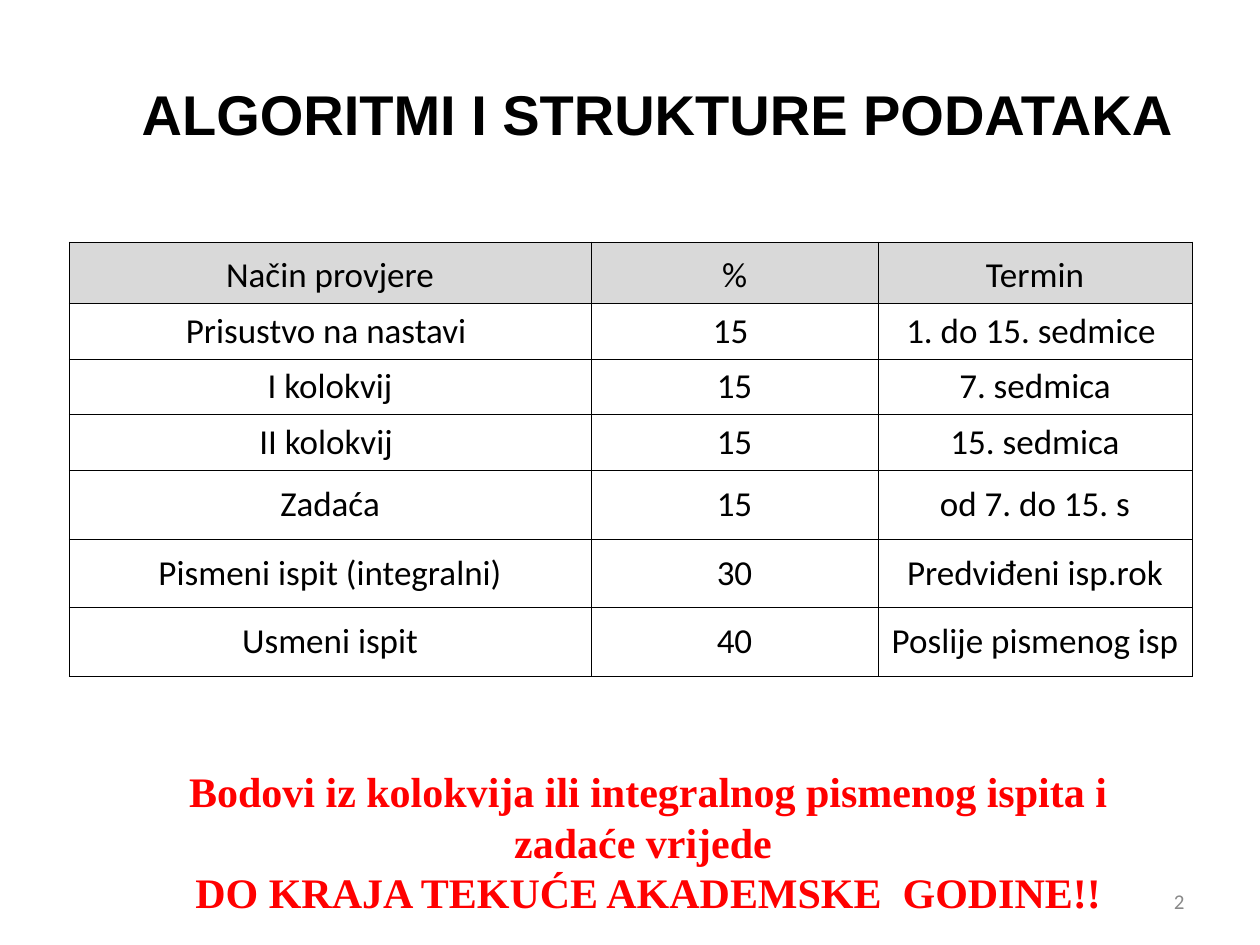
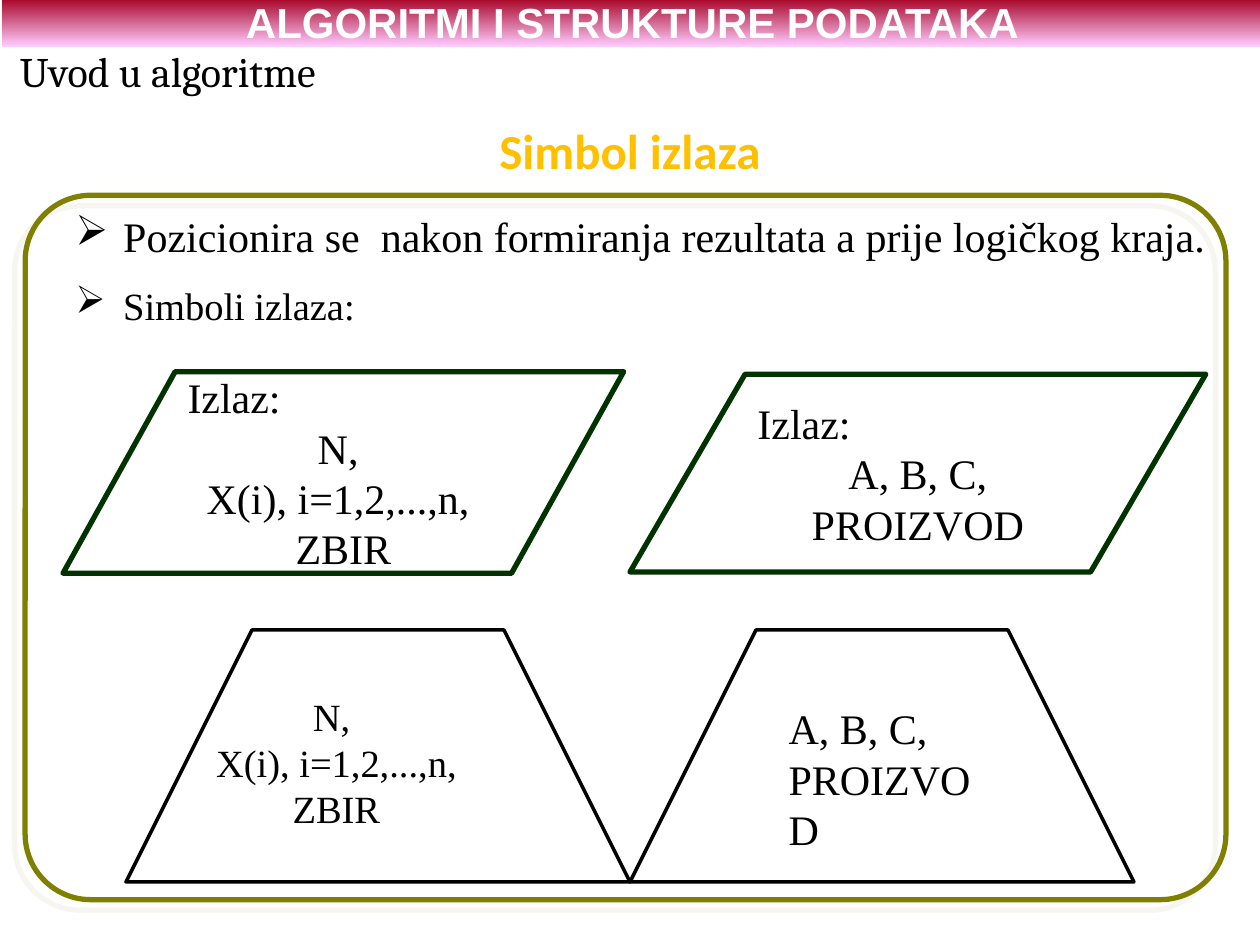
"""Builds two course slides: the grading scheme and the output symbol."""
from dataclasses import dataclass

from lxml.etree import SubElement
from pptx import Presentation
from pptx.dml.color import RGBColor
from pptx.enum.shapes import MSO_SHAPE as Shape
from pptx.enum.text import MSO_ANCHOR as Anchor, PP_ALIGN as Align
from pptx.oxml import parse_xml
from pptx.oxml.ns import nsdecls, qn
from pptx.util import Inches, Pt


@dataclass(frozen=True)
class Theme:
    black: str = "000000"
    white: str = "FFFFFF"
    red: str = "FF0000"
    gold: str = "FFC000"
    olive: str = "808000"
    green: str = "003300"
    page_grey: str = "898989"
    header_grey: str = "D9D9D9"
    shadow: str = "EEECE1"
    band: tuple = ("A50021", "FFCCFF")
    heading: str = "Arial"
    sans: str = "Calibri"
    serif: str = "Times New Roman"
    chapter: str = "Cambria"
    title_size: int = 32
    subtitle_size: int = 28
    body_size: int = 24
    small_size: int = 22
    table_size: int = 20
    page_size: int = 12


THEME = Theme()
COURSE = "ALGORITMI I STRUKTURE PODATAKA"

GRADING = [
    ("Način provjere", "%", "Termin"),
    ("Prisustvo na nastavi ", "15 ", "1. do 15. sedmice "),
    ("I kolokvij", "15", "7. sedmica"),
    ("II kolokvij ", "15", "15. sedmica"),
    ("Zadaća", "15", "od 7. do 15. s"),
    ("Pismeni ispit (integralni)", "30", "Predviđeni isp.rok"),
    ("Usmeni ispit", "40", "Poslije pismenog isp"),
]
GRADING_AT = (0.55, 1.92)
GRADING_WIDTHS = (4.14, 2.28, 2.49)
GRADING_HEIGHTS = (0.49, 0.44, 0.44, 0.44, 0.55, 0.54, 0.55)
VALIDITY = [
    "Bodovi iz kolokvija ili integralnog pismenog ispita i zadaće vrijede ",
    "DO KRAJA TEKUĆE AKADEMSKE  GODINE!!",
]

CHAPTER = "Uvod u algoritme"
TOPIC = "Simbol izlaza"
RULES = [
    ("Pozicionira se  nakon formiranja rezultata a prije logičkog kraja.", THEME.body_size),
    ("Simboli izlaza:", THEME.small_size),
]
SUM_OUTPUT = ["N, ", "X(i), i=1,2,...,n, ", "ZBIR"]
PARALLELOGRAMS = [
    ((0.5, 2.95, 4.45, 1.6), SUM_OUTPUT),
    ((5, 2.97, 4.57, 1.57), ["A, B, C, PROIZVOD"]),
]
TRAPEZOIDS = [
    ((0.75, 5.4, 3.78, 1.26), 0.91, (1.58, 5.45, 2.18, 1.2),
     SUM_OUTPUT, THEME.small_size, Align.CENTER),
    ((5.26, 5.4, 3.78, 1.18), 0.86, (6.16, 5.53, 1.88, 0.9),
     ["A, B, C,", "PROIZVOD"], THEME.body_size, Align.LEFT),
]


def rgb(color):
    return RGBColor.from_string(color)


def style(paragraph, size, face, color=THEME.black, bold=False, align=Align.LEFT):
    paragraph.alignment = align
    font = paragraph.font
    font.size, font.name, font.bold = Pt(size), face, bold
    font.color.rgb = rgb(color)


def write(frame, lines, *look, anchor=Anchor.TOP, wrap=True, **options):
    frame.word_wrap = wrap
    frame.vertical_anchor = anchor
    for index, line in enumerate(lines):
        paragraph = frame.add_paragraph() if index else frame.paragraphs[0]
        paragraph.add_run().text = line
        style(paragraph, *look, **options)


def add_text(slide, place, lines, *look, **options):
    box = slide.shapes.add_textbox(*map(Inches, place))
    write(box.text_frame, lines, *look, **options)


def outline(shape, color=None, width=0):
    shape.shadow.inherit = False
    shape.fill.background()
    if color:
        shape.line.color.rgb = rgb(color)
        shape.line.width = Pt(width)
    else:
        shape.line.fill.background()


def add_outlined(slide, kind, place, color=None, width=0):
    shape = slide.shapes.add_shape(kind, *map(Inches, place))
    outline(shape, color, width)
    return shape


def border(cell, color, width):
    properties = cell._tc.get_or_add_tcPr()
    for index, side in enumerate("LRTB"):
        properties.insert(index, parse_xml(
            f'<a:ln{side} {nsdecls("a")} w="{Pt(width)}"><a:solidFill>'
            f'<a:srgbClr val="{color}"/></a:solidFill></a:ln{side}>'))


def add_grading(slide):
    table = slide.shapes.add_table(
        len(GRADING), len(GRADING_WIDTHS), *map(Inches, GRADING_AT),
        Inches(sum(GRADING_WIDTHS)), Inches(sum(GRADING_HEIGHTS))).table
    table.first_row = table.horz_banding = False
    for column, width in zip(table.columns, GRADING_WIDTHS):
        column.width = Inches(width)
    for index, (row, height, values) in enumerate(zip(table.rows, GRADING_HEIGHTS, GRADING)):
        row.height = Inches(height)
        for cell, value in zip(row.cells, values):
            border(cell, THEME.black, 0.45)
            cell.margin_left = cell.margin_right = Inches(0.08)
            cell.vertical_anchor = Anchor.BOTTOM if index < 2 else Anchor.MIDDLE
            paragraph = cell.text_frame.paragraphs[0]
            paragraph.add_run().text = value
            style(paragraph, THEME.table_size, THEME.sans, align=Align.CENTER)
            if index:
                cell.fill.background()
            else:
                cell.fill.solid()
                cell.fill.fore_color.rgb = rgb(THEME.header_grey)
                paragraph.line_spacing = 1.15


def add_band(slide):
    band = add_outlined(slide, Shape.RECTANGLE, (0.02, -0.02, 10, 0.39))
    band.fill.gradient()
    band.fill.gradient_angle = 270
    for position, (stop, color) in enumerate(zip(band.fill.gradient_stops, THEME.band)):
        stop.position = position
        stop.color.rgb = rgb(color)
    write(band.text_frame, [COURSE], THEME.body_size, THEME.heading, THEME.white, True,
          Align.CENTER, anchor=Anchor.MIDDLE)


def add_panel(slide):
    panel = add_outlined(slide, Shape.ROUNDED_RECTANGLE, (0.2, 1.55, 9.53, 5.59), THEME.olive, 3)
    panel.adjustments[0] = 0.093
    effects = panel._element.spPr.find(qn("a:effectLst"))
    effects.append(parse_xml(
        f'<a:outerShdw {nsdecls("a")} dist="{Pt(8.5)}" dir="{135 * 60000}" algn="ctr" '
        f'rotWithShape="0"><a:srgbClr val="{THEME.shadow}"><a:alpha val="50000"/>'
        f'</a:srgbClr></a:outerShdw>'))


def add_rules(slide):
    frame = slide.shapes.add_textbox(*map(Inches, (0.5, 1.62, 9.23, 1.04))).text_frame
    frame.word_wrap = True
    for index, (rule, size) in enumerate(RULES):
        paragraph = frame.add_paragraph() if index else frame.paragraphs[0]
        paragraph.add_run().text = rule
        if index:
            paragraph.space_before = Pt(12)
        properties = paragraph._p.get_or_add_pPr()
        properties.set("marL", str(Inches(0.38)))
        properties.set("indent", str(-Inches(0.38)))
        bullet_color = SubElement(properties, qn("a:buClr"))
        SubElement(bullet_color, qn("a:srgbClr"), val=THEME.black)
        SubElement(properties, qn("a:buChar"), char="➢")
        style(paragraph, size, THEME.serif)


def add_trapezoid(slide, place, inset):
    left, top, width, height = place
    right, bottom = left + width, top + height
    builder = slide.shapes.build_freeform(left, bottom, scale=Inches(1))
    builder.add_line_segments([(left + inset, top), (right - inset, top), (right, bottom)])
    outline(builder.convert_to_shape(), THEME.black, 2)


def build_grading_slide(slide):
    add_text(slide, (0.63, 0.33, 9.18, 1.13), [COURSE], THEME.title_size, THEME.heading,
             bold=True, align=Align.CENTER, anchor=Anchor.MIDDLE)
    add_text(slide, (7.17, 6.95, 2.33, 0.4), ["2"], THEME.page_size, THEME.sans,
             THEME.page_grey, align=Align.RIGHT, anchor=Anchor.MIDDLE)
    add_grading(slide)
    notice = add_outlined(slide, Shape.RECTANGLE, (0.97, 6.03, 8.35, 1.3))
    notice.fill.solid()
    notice.fill.fore_color.rgb = rgb(THEME.white)
    write(notice.text_frame, VALIDITY, THEME.body_size, THEME.serif, THEME.red, True, Align.CENTER)


def build_symbol_slide(slide):
    add_panel(slide)
    add_rules(slide)
    for place, outputs in PARALLELOGRAMS:
        symbol = add_outlined(slide, Shape.FLOWCHART_DATA, place, THEME.green, 3)
        write(symbol.text_frame, ["Izlaz:", *outputs], THEME.body_size, THEME.serif,
              align=Align.CENTER, anchor=Anchor.MIDDLE)
        symbol.text_frame.paragraphs[0].alignment = Align.LEFT
    add_text(slide, (0.5, 0.8, 9, 0.78), [TOPIC], THEME.subtitle_size, THEME.sans,
             THEME.gold, True, Align.CENTER, anchor=Anchor.MIDDLE)
    add_band(slide)
    add_text(slide, (0.06, 0.31, 2.56, 0.5), [CHAPTER], THEME.body_size, THEME.chapter, wrap=False)
    for place, inset, label_place, outputs, size, align in TRAPEZOIDS:
        add_trapezoid(slide, place, inset)
        add_text(slide, label_place, outputs, size, THEME.serif, align=align, wrap=False)


def main():
    deck = Presentation()
    deck.slide_width, deck.slide_height = Inches(10), Inches(7.5)
    for build in (build_grading_slide, build_symbol_slide):
        build(deck.slides.add_slide(deck.slide_layouts[6]))
    deck.save("out.pptx")


if __name__ == "__main__":
    main()
